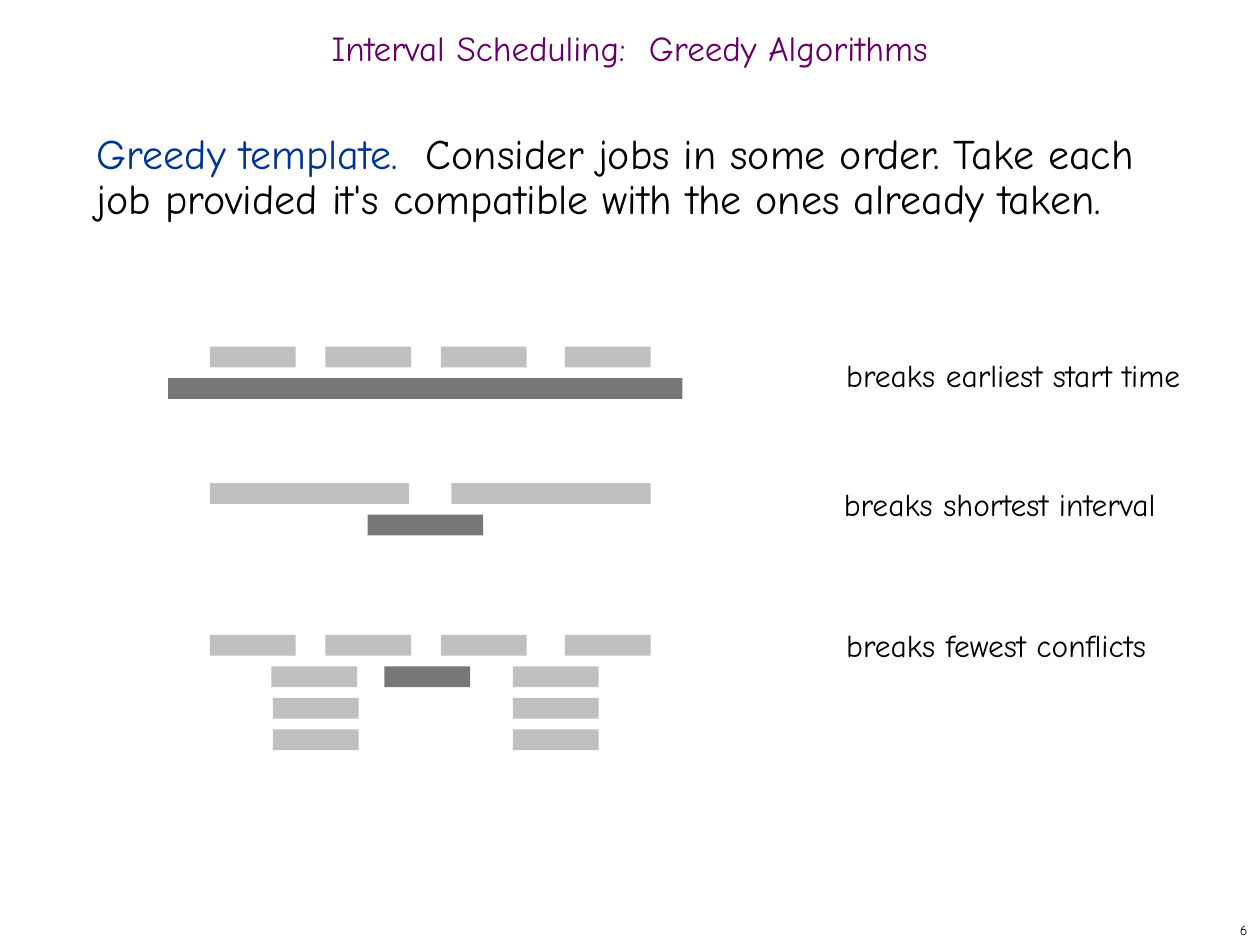
from typing import NamedTuple

from pptx import Presentation
from pptx.dml.color import RGBColor
from pptx.enum.shapes import MSO_SHAPE
from pptx.enum.text import MSO_ANCHOR, MSO_AUTO_SIZE, PP_ALIGN
from pptx.util import Cm, Pt

RECTANGLE = MSO_SHAPE.RECTANGLE
TOP, MIDDLE = MSO_ANCHOR.TOP, MSO_ANCHOR.MIDDLE
LEFT, CENTER, RIGHT = PP_ALIGN.LEFT, PP_ALIGN.CENTER, PP_ALIGN.RIGHT
FIT_TEXT = MSO_AUTO_SIZE.SHAPE_TO_FIT_TEXT

FONT = "Comic Neue"
COLORS = {
    "title": "660066",
    "term": "003399",
    "text": "000000",
    "job": "C0C0C0",
    "breaker": "777777",
}
# Lengths in centimetres
BAR_HEIGHT = 0.42
ROW_STEP = 0.635
SHORT = 1.73
LONG = 4.02
LABEL_HEIGHT = 1.02


class Area(NamedTuple):
    left: float
    top: float
    width: float
    height: float


class Span(NamedTuple):
    text: str
    color: str = "text"


class Bar(NamedTuple):
    row: int
    left: float
    width: float = SHORT
    color: str = "job"


class Example(NamedTuple):
    top: float
    bars: list[Bar]
    label: str
    label_left: float
    label_top: float
    label_width: float


def rgb(name: str) -> RGBColor:
    return RGBColor.from_string(COLORS[name])


def add_text(page, area: Area, spans: list[Span], size: int, align=LEFT,
             anchor=TOP, wrap: bool = True, line_spacing=None):
    box = page.shapes.add_textbox(*(Cm(length) for length in area))
    frame = box.text_frame
    frame.word_wrap = wrap
    frame.vertical_anchor = anchor
    para = frame.paragraphs[0]
    para.alignment = align
    para.line_spacing = line_spacing
    para.font.name = FONT
    para.font.size = Pt(size)
    for span in spans:
        run = para.add_run()
        run.text = span.text
        run.font.color.rgb = rgb(span.color)
    return box


def add_bar(page, top: float, bar: Bar) -> None:
    shape = page.shapes.add_shape(
        RECTANGLE, Cm(bar.left), Cm(top + bar.row * ROW_STEP),
        Cm(bar.width), Cm(BAR_HEIGHT))
    shape.shadow.inherit = False
    shape.fill.solid()
    shape.fill.fore_color.rgb = rgb(bar.color)
    shape.line.fill.background()


def add_example(page, example: Example) -> None:
    for bar in example.bars:
        add_bar(page, example.top, bar)
    area = Area(example.label_left, example.label_top,
                example.label_width, LABEL_HEIGHT)
    label = add_text(page, area, [Span(example.label)], 18, wrap=False)
    label.text_frame.auto_size = FIT_TEXT


# Four compatible jobs, shared by the first and last examples
FOUR_JOBS = [Bar(0, left) for left in (4.23, 6.56, 8.89, 11.39)]

EXAMPLES = [
    Example(6.99, FOUR_JOBS + [Bar(1, 3.39, 10.37, "breaker")],
            "breaks earliest start time", 16.81, 7.06, 7.29),
    Example(9.74, [Bar(0, 4.23, LONG), Bar(0, 9.1, LONG),
                   Bar(1, 7.41, 2.33, "breaker")],
            "breaks shortest interval", 16.76, 9.65, 6.86),
    Example(12.8, FOUR_JOBS
            + [Bar(1, 5.47), Bar(2, 5.5), Bar(3, 5.5)]
            + [Bar(row, 10.34) for row in (1, 2, 3)]
            + [Bar(1, 7.75, color="breaker")],
            "breaks fewest conflicts", 16.81, 12.5, 6.6),
]


def main() -> None:
    deck = Presentation()
    deck.slide_width, deck.slide_height = Cm(25.4), Cm(19.05)
    page = deck.slides.add_slide(deck.slide_layouts[6])

    # Page number, title and statement
    add_text(page, Area(20.12, 18.42, 5.28, 0.64), [Span("6")], 8,
             align=RIGHT, anchor=MIDDLE, wrap=False)
    add_text(page, Area(0, 0.43, 25.4, 1.27),
             [Span("Interval Scheduling:  Greedy Algorithms", "title")], 20,
             align=CENTER, anchor=MIDDLE, line_spacing=0.7)
    add_text(page, Area(1.7, 2.54, 21.8, 15.03),
             [Span("Greedy template.  ", "term"),
              Span("Consider jobs in some order. Take each job provided "
                   "it's compatible with the ones already taken.")],
             24, line_spacing=Pt(26))

    # Counterexamples
    for example in EXAMPLES:
        add_example(page, example)

    deck.save("out.pptx")


if __name__ == "__main__":
    main()
